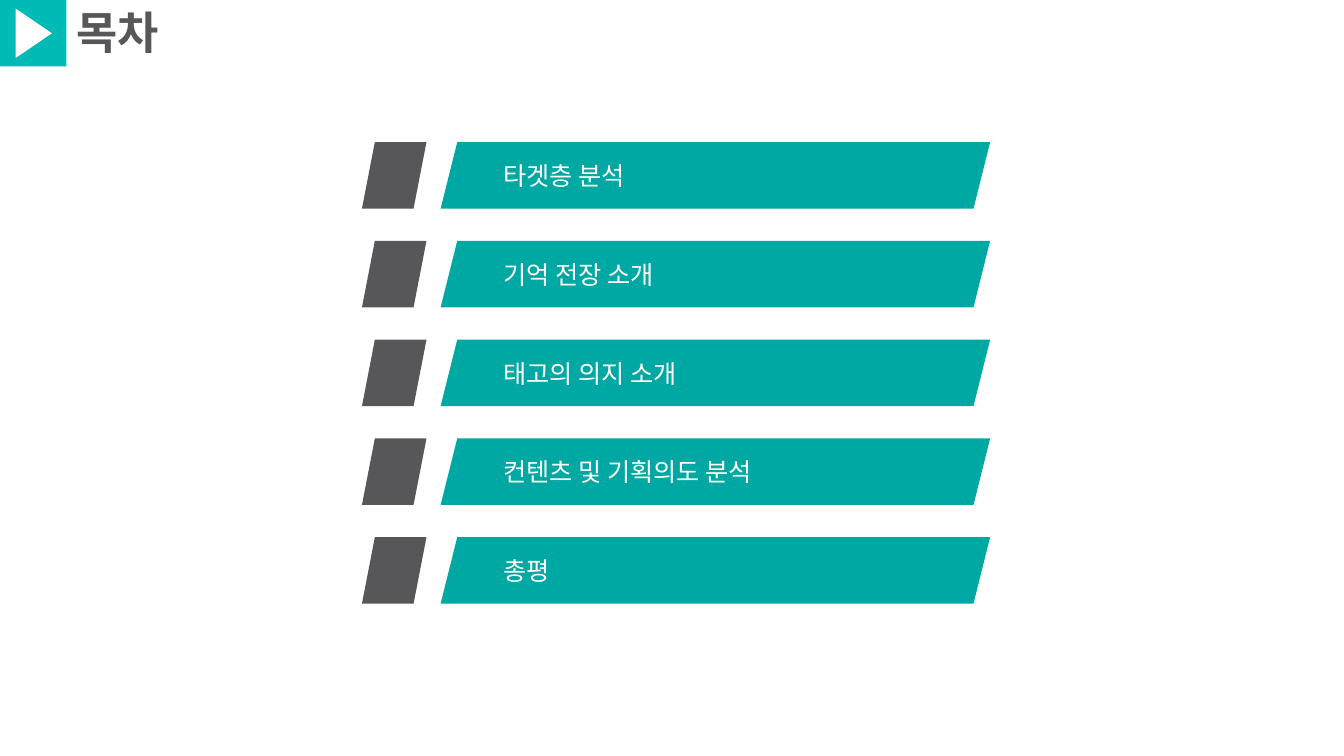
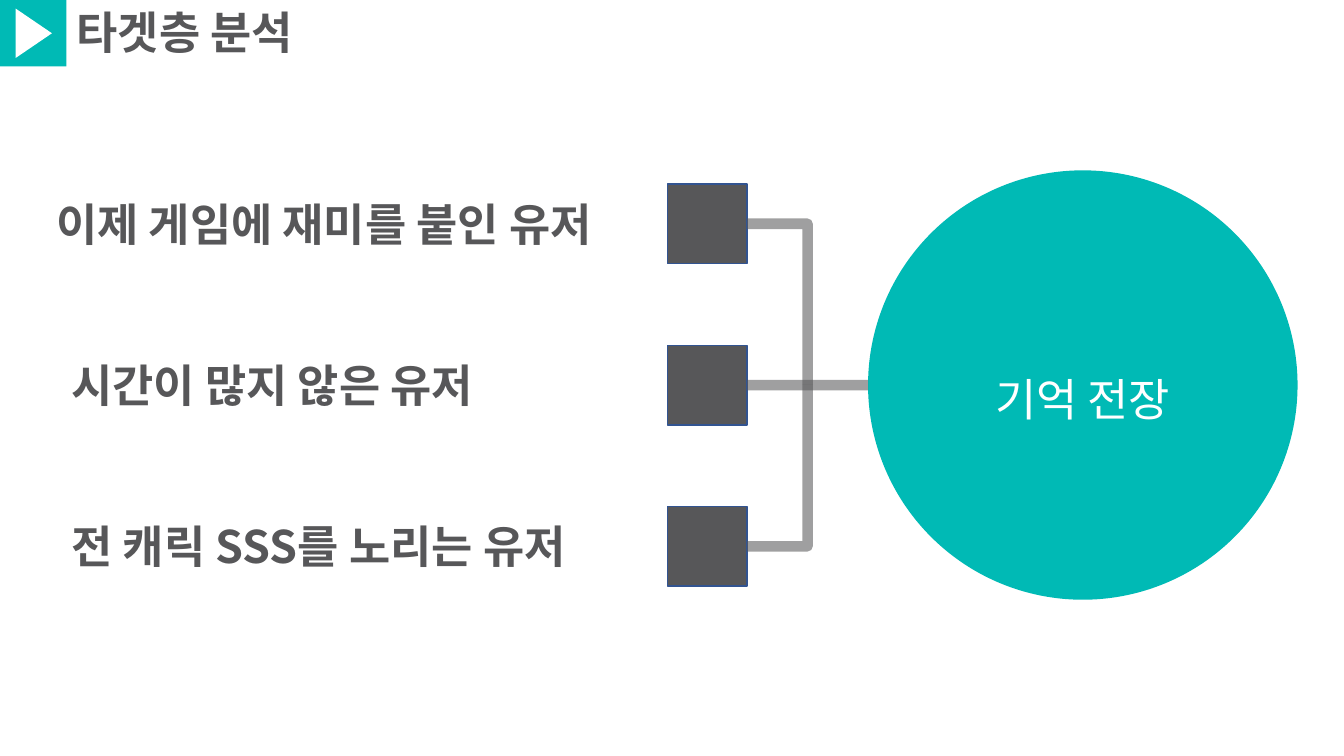
"""Build the contents slide and the target audience slide."""
from dataclasses import dataclass

from lxml import etree
from pptx import Presentation
from pptx import util as u
from pptx.dml.color import RGBColor
from pptx.enum import shapes, text
from pptx.oxml.ns import qn


@dataclass(frozen=True)
class Theme:
    font: str = "Noto Sans CJK KR"
    teal: str = "00BAB5"
    bar: str = "00A8A3"
    grey: str = "575759"
    outline: str = "325491"
    white: str = "FFFFFF"
    heading: int = 32
    item: int = 18
    link: float = 7.5
    link_alpha: int = 57000


THEME = Theme()
SHAPE = shapes.MSO_SHAPE
LINE = shapes.MSO_CONNECTOR
TOPICS = ["타겟층 분석", "기억 전장 소개", "태고의 의지 소개", "컨텐츠 및 기획의도 분석", "총평"]
USERS = [("이제 게임에 재미를 붙인 유저", 0.46), ("시간이 많지 않은 유저", 0.61),
         ("전 캐릭 SSS를 노리는 유저", 0.61)]


def write(shape, words, size, color, bold=False, align=text.PP_ALIGN.LEFT, spacing=None):
    """Put one styled paragraph into a shape."""
    para = shape.text_frame.paragraphs[0]
    para.text = words
    para.alignment = align
    if spacing:
        para.line_spacing = spacing
    font = para.font
    font.name, font.size, font.bold = THEME.font, u.Pt(size), bold
    font.color.rgb = RGBColor.from_string(color)
    east_asian = etree.SubElement(para._p.pPr.find(qn("a:defRPr")), qn("a:ea"))
    east_asian.set("typeface", THEME.font)


def add_block(page, kind, left, top, width, height, fill, outline=None):
    """Add a flat filled shape."""
    block = page.shapes.add_shape(kind, *map(u.Inches, (left, top, width, height)))
    block.shadow.inherit = False
    block.fill.solid()
    block.fill.fore_color.rgb = RGBColor.from_string(fill)
    if outline:
        block.line.color.rgb = RGBColor.from_string(outline)
        block.line.width = u.Pt(1)
    else:
        block.line.fill.background()
    block.text_frame.vertical_anchor = text.MSO_ANCHOR.MIDDLE
    return block


def add_label(page, words, left, top, width, height):
    """Add a bold grey text box."""
    box = page.shapes.add_textbox(*map(u.Inches, (left, top, width, height)))
    box.text_frame.word_wrap = True
    box.text_frame.auto_size = text.MSO_AUTO_SIZE.SHAPE_TO_FIT_TEXT
    write(box, words, THEME.heading, THEME.grey, bold=True)


def add_link(page, kind, square, start, end):
    """Add a translucent thick connector from the right side of a square."""
    link = page.shapes.add_connector(kind, *map(u.Inches, (*start, *end)))
    link.begin_connect(square, 3)
    link.line.width = u.Pt(THEME.link)
    link.line.color.rgb = RGBColor.from_string(THEME.grey)
    properties = link._element.spPr
    color = properties.find(".//" + qn("a:srgbClr"))
    etree.SubElement(color, qn("a:alpha")).set("val", str(THEME.link_alpha))
    etree.SubElement(properties, qn("a:effectLst"))
    if kind == LINE.ELBOW:
        properties.find(qn("a:prstGeom")).set("prst", "bentConnector2")


def style_layout(layout):
    """Place the title that every slide inherits."""
    title = layout.placeholders[0]
    title.left, title.top, title.width, title.height = map(u.Inches, (0.66, 0, 2.94, 0.64))
    title.text_frame.vertical_anchor = text.MSO_ANCHOR.TOP
    title.text_frame.word_wrap = True


def add_page(deck, layout, heading):
    """Add a slide with its title and play badge."""
    page = deck.slides.add_slide(layout)
    page.shapes.title.text_frame.auto_size = text.MSO_AUTO_SIZE.SHAPE_TO_FIT_TEXT
    write(page.shapes.title, heading, THEME.heading, THEME.grey, bold=True)
    add_block(page, SHAPE.RECTANGLE, 0, 0, 0.66, 0.66, THEME.teal)
    arrow = add_block(page, SHAPE.ISOSCELES_TRIANGLE, 0.09, 0.15, 0.49, 0.36, THEME.white)
    arrow.rotation = 90
    return page


def add_topics(page):
    """Add the evenly spaced rows of the contents list."""
    for row, topic in enumerate(TOPICS):
        top = 1.41 + 0.98 * row
        tab = add_block(page, SHAPE.PARALLELOGRAM, 3.59, top, 0.64, 0.66, THEME.grey)
        tab.adjustments[0] = 0.2
        bar = add_block(page, SHAPE.PARALLELOGRAM, 4.37, top, 5.45, 0.66, THEME.bar)
        write(bar, topic, THEME.item, THEME.white)


def add_audience(page):
    """Add the user groups and link them to the circle."""
    side, right, middle, pitch, trunk = 0.79, 7.41, 3.82, 1.6, 8.01
    centres = [middle + pitch * step for step in (-1, 0, 1)]
    squares = []
    for (words, left), centre in zip(USERS, centres):
        squares.append(add_block(page, SHAPE.RECTANGLE, right - side, centre - side / 2,
                                 side, side, THEME.grey, THEME.outline))
        add_label(page, words, left, centre - 0.32, right - side - left, 0.64)
    circle = add_block(page, SHAPE.OVAL, 8.61, 1.69, 4.26, 4.26, THEME.teal)
    write(circle, "기억 전장", THEME.heading, THEME.white,
          align=text.PP_ALIGN.CENTER, spacing=1.5)
    for square, centre in zip(squares, centres):
        straight = centre == middle
        add_link(page, LINE.STRAIGHT if straight else LINE.ELBOW, square,
                 (right, centre), (8.61 if straight else trunk, middle))


def main():
    """Build and save the deck."""
    deck = Presentation()
    deck.slide_width, deck.slide_height = u.Inches(13.33), u.Inches(7.5)
    layout = deck.slide_layouts[5]
    style_layout(layout)
    add_topics(add_page(deck, layout, "목차"))
    add_audience(add_page(deck, layout, "타겟층 분석"))
    deck.save("out.pptx")


if __name__ == "__main__":
    main()
